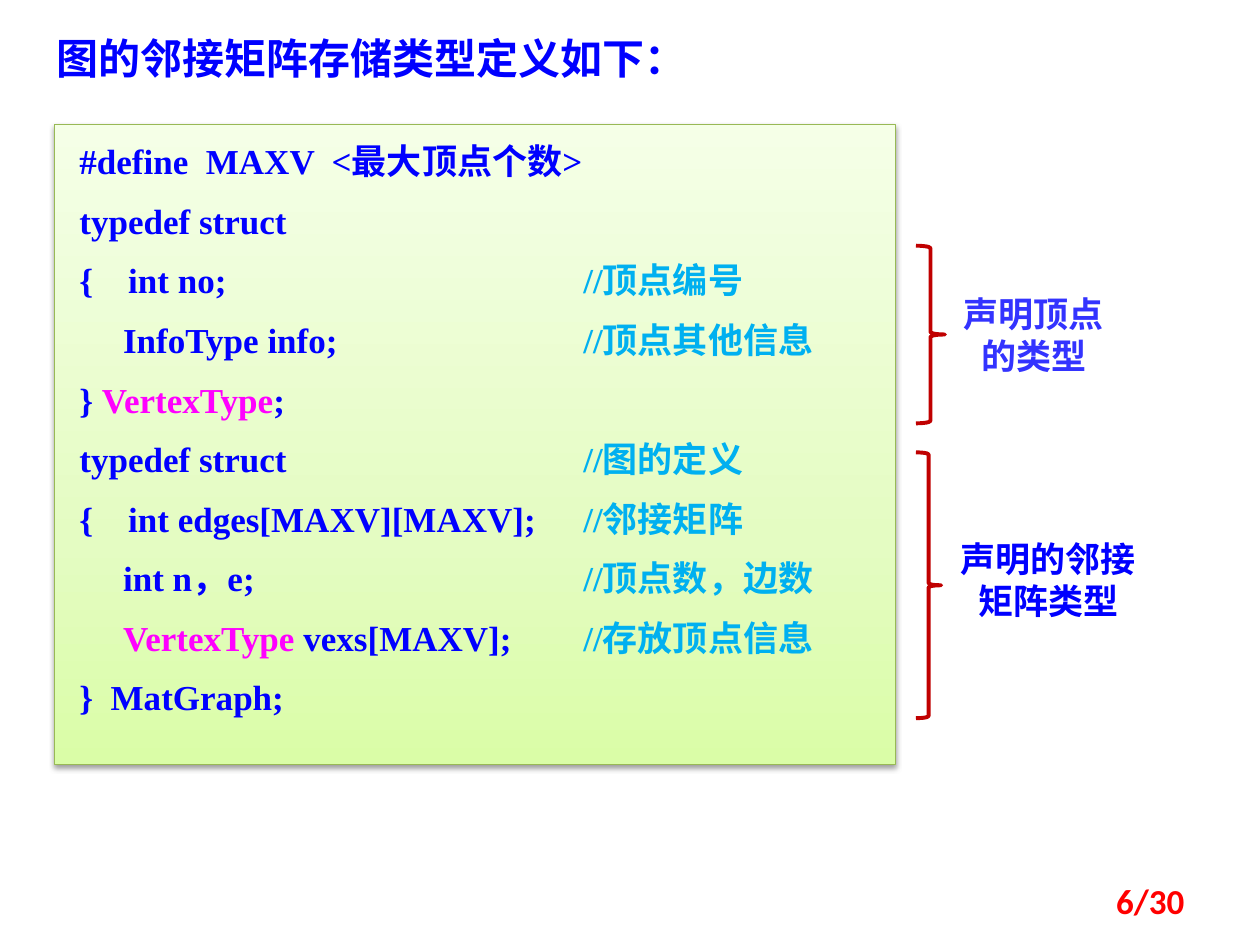
from lxml.etree import SubElement
from pptx import Presentation
from pptx.dml.color import RGBColor
from pptx.enum.shapes import MSO_SHAPE
from pptx.enum.text import MSO_ANCHOR, PP_ALIGN
from pptx.oxml import parse_xml
from pptx.oxml.ns import nsdecls, qn
from pptx.util import Inches, Pt

BLUE = RGBColor(0x00, 0x00, 0xFF)
LABEL_BLUE = RGBColor(0x33, 0x33, 0xFF)
CYAN = RGBColor(0x00, 0xB0, 0xF0)
MAGENTA = RGBColor(0xFF, 0x00, 0xFF)
RED = RGBColor(0xFF, 0x00, 0x00)
DARK_RED = RGBColor(0xC0, 0x00, 0x00)
GREEN = RGBColor(0x98, 0xB9, 0x55)

SERIF, CJK, SANS = "Times New Roman", "Noto Sans CJK SC", "Calibri"
COMMENT_TAB = Inches(4)

# Each line is a list of (text, colour) runs; a tab leads to the comment column.
CODE = [
    [("#define  MAXV  <最大顶点个数>", BLUE)],
    [("typedef struct", BLUE)],
    [("{    int no;\t", BLUE), ("//顶点编号", CYAN)],
    [("     InfoType info;\t", BLUE), ("//顶点其他信息", CYAN)],
    [("} ", BLUE), ("VertexType", MAGENTA), (";", BLUE)],
    [("typedef struct\t", BLUE), ("//图的定义", CYAN)],
    [("{    int edges[MAXV][MAXV];\t", BLUE), ("//邻接矩阵", CYAN)],
    [("     int n，e;\t", BLUE), ("//顶点数，边数", CYAN)],
    [("     ", BLUE), ("VertexType ", MAGENTA), ("vexs[MAXV];\t", BLUE),
     ("//存放顶点信息", CYAN)],
    [("}  MatGraph;", BLUE)],
]

GRADIENT = f"""<a:gradFill {nsdecls('a')} rotWithShape="1"><a:gsLst>
<a:gs pos="0"><a:srgbClr val="DAFDA7"/></a:gs>
<a:gs pos="35000"><a:srgbClr val="E4FCC2"/></a:gs>
<a:gs pos="100000"><a:srgbClr val="F5FFE7"/></a:gs>
</a:gsLst><a:lin ang="16200000" scaled="1"/></a:gradFill>"""

SHADOW = f"""<a:effectLst {nsdecls('a')}>
<a:outerShdw blurRad="40000" dist="20000" dir="5400000" rotWithShape="0">
<a:srgbClr val="000000"><a:alpha val="38000"/></a:srgbClr>
</a:outerShdw></a:effectLst>"""


def add_run(paragraph, text, color, size=20, font=SERIF):
    run = paragraph.add_run()
    run.text = text
    for name, value in dict(name=font, size=Pt(size), bold=True).items():
        setattr(run.font, name, value)
    run.font.color.rgb = color
    SubElement(run.font._element, qn("a:ea"), typeface=CJK)


def add_text(slide, box, text, color, size=20, font=CJK,
             align=PP_ALIGN.LEFT, anchor=MSO_ANCHOR.TOP):
    frame = slide.shapes.add_textbox(*map(Inches, box)).text_frame
    frame.word_wrap = True
    frame.vertical_anchor = anchor
    frame.paragraphs[0].alignment = align
    add_run(frame.paragraphs[0], text, color, size, font)


def add_code_panel(slide, box):
    panel = slide.shapes.add_shape(MSO_SHAPE.RECTANGLE, *map(Inches, box))
    panel.line.color.rgb = GREEN
    panel.line.width = Pt(0.75)
    properties = panel._element.spPr
    properties.find(qn("a:prstGeom")).addnext(parse_xml(GRADIENT))
    properties.append(parse_xml(SHADOW))

    frame = panel.text_frame
    margins = dict(margin_left=0.2, margin_right=0.2,
                   margin_top=0.12, margin_bottom=0.12)
    for name, value in margins.items():
        setattr(frame, name, Inches(value))
    frame.word_wrap = True
    frame.vertical_anchor = MSO_ANCHOR.TOP

    for index, runs in enumerate(CODE):
        line = frame.add_paragraph() if index else frame.paragraphs[0]
        line.alignment = PP_ALIGN.JUSTIFY
        line.line_spacing = Pt(24)
        line.space_before = Pt(10 if index else 0)
        tabs = SubElement(line._p.get_or_add_pPr(), qn("a:tabLst"))
        SubElement(tabs, qn("a:tab"), pos=str(COMMENT_TAB), algn="l")
        for text, color in runs:
            add_run(line, text, color)


def add_brace_note(slide, brace_box, label_box, text, color):
    brace = slide.shapes.add_shape(MSO_SHAPE.RIGHT_BRACE, *map(Inches, brace_box))
    brace.shadow.inherit = False
    brace.fill.background()
    brace.line.color.rgb = DARK_RED
    brace.line.width = Pt(2.25)
    add_text(slide, label_box, text, color, align=PP_ALIGN.CENTER)


def main():
    deck = Presentation()
    deck.slide_width, deck.slide_height = Inches(10), Inches(7.5)
    slide = deck.slides.add_slide(deck.slide_layouts[6])

    add_code_panel(slide, (0.43, 0.99, 6.68, 5.08))
    add_text(slide, (0.35, 0.21, 6.85, 0.5), "图的邻接矩阵存储类型定义如下：", BLUE, 24)
    add_brace_note(slide, (7.27, 1.95, 0.23, 1.41), (7.5, 2.27, 1.41, 0.77),
                   "声明顶点的类型", LABEL_BLUE)
    add_brace_note(slide, (7.27, 3.59, 0.2, 2.11), (7.42, 4.22, 1.8, 0.77),
                   "声明的邻接矩阵类型", BLUE)
    add_text(slide, (7.17, 6.95, 2.33, 0.4), "6/30", RED, font=SANS,
             align=PP_ALIGN.RIGHT, anchor=MSO_ANCHOR.MIDDLE)
    deck.save("out.pptx")


if __name__ == "__main__":
    main()
